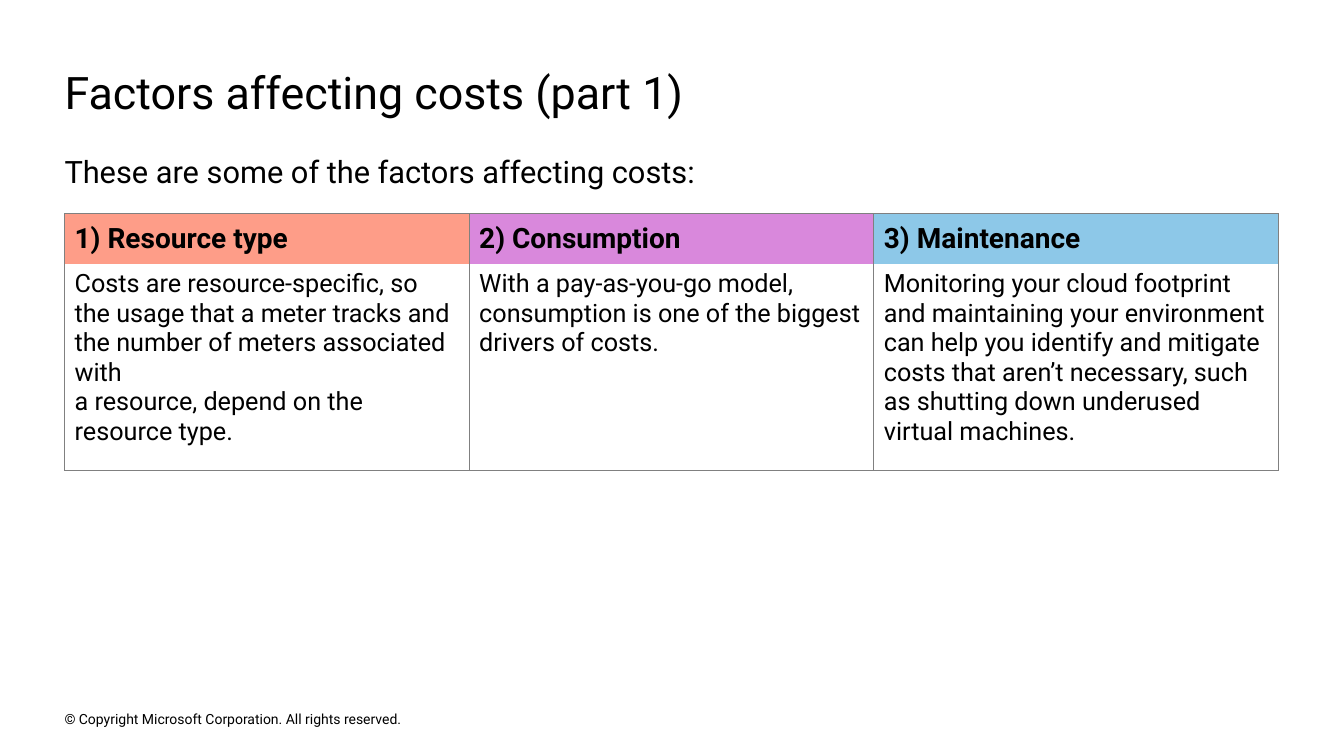
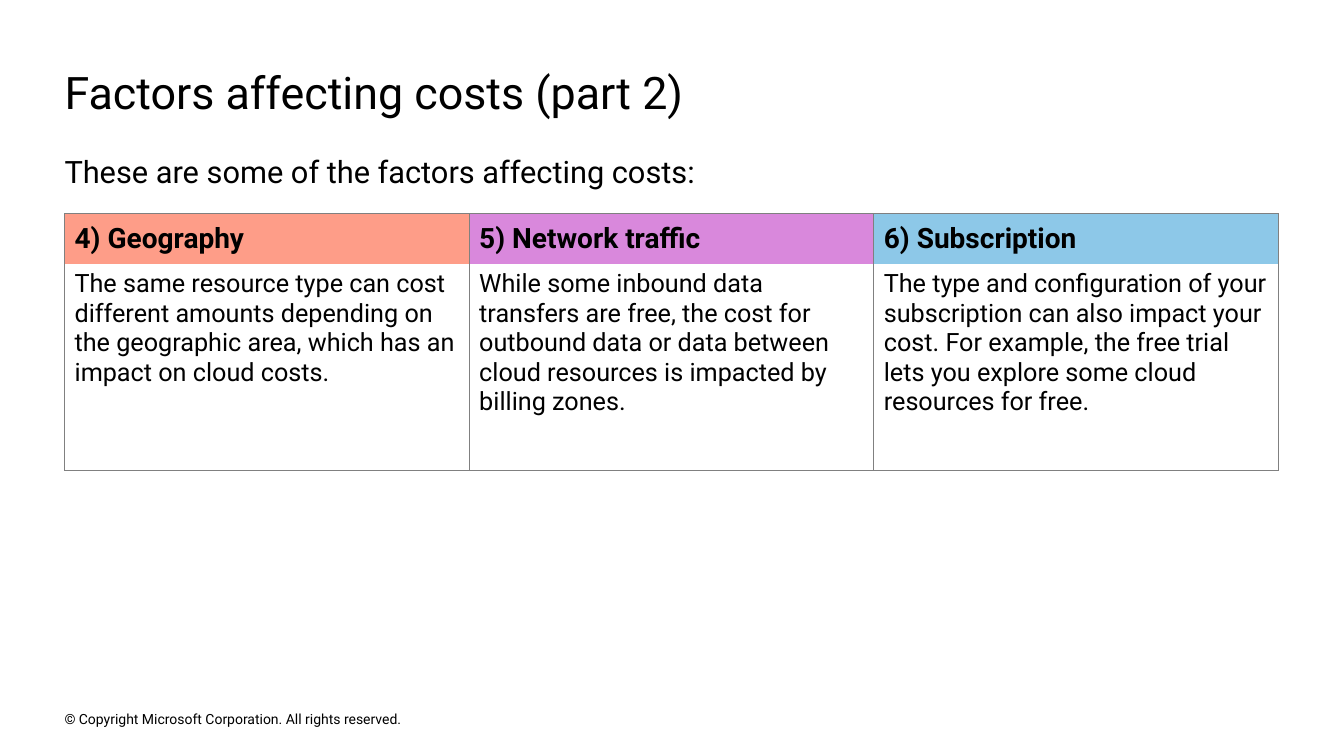
"""Build two slides on the factors that affect costs."""
from lxml.etree import SubElement as Sub
from pptx import Presentation
from pptx.dml.color import RGBColor as RGB
from pptx.enum.text import MSO_ANCHOR as Anchor
from pptx.oxml.ns import qn
from pptx.util import Inches, Pt

LEAD = "These are some of the factors affecting costs:"
FOOT = "© Copyright Microsoft Corporation. All rights reserved."
PAGES = [
    ("Factors affecting costs (part 1)", [
        ("1) Resource type",
         "Costs are resource-specific, so the usage that a meter tracks and "
         "the number of meters associated with\v"
         "a resource, depend on the\vresource type."),
        ("2) Consumption",
         "With a pay-as-you-go model, consumption is one of the biggest "
         "drivers of costs."),
        ("3) Maintenance",
         "Monitoring your cloud footprint and maintaining your environment "
         "can help you identify and mitigate costs that aren’t necessary, "
         "such as shutting down underused virtual machines."),
    ]),
    ("Factors affecting costs (part 2)", [
        ("4) Geography",
         "The same resource type can cost different amounts depending on "
         "the geographic area, which has an impact on cloud costs."),
        ("5) Network traffic",
         "While some inbound data transfers are free, the cost for outbound "
         "data or data between cloud resources is impacted by billing zones."),
        ("6) Subscription",
         "The type and configuration of your subscription can also impact "
         "your cost. For example, the free trial lets you explore some cloud "
         "resources for free."),
    ]),
]

FONT = "Roboto"
BLACK, WHITE = RGB(0, 0, 0), RGB(255, 255, 255)
GREY = RGB(0x80, 0x80, 0x80)
HEADS = [RGB(0xFE, 0x9D, 0x88), RGB(0xD9, 0x88, 0xDC), RGB(0x8D, 0xC8, 0xE8)]
LEFT, WIDTH = 0.64, 12.04
ROWS = (0.5, 2.05)


def write(frame, text, size, bold=False, color=BLACK):
    """Put text in a frame with one format."""
    frame.word_wrap = True
    frame.text = text
    for para in frame.paragraphs:
        font = para.font
        font.name, font.size, font.bold = FONT, Pt(size), bold
        font.color.rgb = color


def label(slide, text, top, high, size, wide=WIDTH, anchor=Anchor.TOP):
    """Add a text box without margins at the left edge."""
    box = slide.shapes.add_textbox(*map(Inches, (LEFT, top, wide, high)))
    frame = box.text_frame
    frame.margin_left = frame.margin_right = 0
    frame.margin_top = frame.margin_bottom = 0
    frame.vertical_anchor = anchor
    write(frame, text, size)


def edge(cell, sides):
    """Draw the named sides of a cell and clear the others."""
    props = cell._tc.get_or_add_tcPr()
    for side in "LRTB":
        line = Sub(props, qn(f"a:ln{side}"), w=str(Pt(0.5)))
        if side in sides:
            fill = Sub(line, qn("a:solidFill"))
            Sub(fill, qn("a:srgbClr"), val=str(GREY))
        else:
            Sub(line, qn("a:noFill"))


def paint(cell, text, sides, back, anchor, **form):
    """Fill one cell with text, borders and a back colour."""
    edge(cell, sides)
    cell.fill.solid()
    cell.fill.fore_color.rgb = back
    cell.vertical_anchor = anchor
    write(cell.text_frame, text, **form)


def grid(slide, items):
    """Add the table with one column for each factor."""
    size = map(Inches, (LEFT, 2.12, WIDTH, sum(ROWS)))
    table = slide.shapes.add_table(len(ROWS), len(items), *size).table
    table.first_row = table.horz_banding = False
    for row, high in zip(table.rows, ROWS):
        row.height = Inches(high)
    for col, ((head, body), hue) in enumerate(zip(items, HEADS)):
        table.columns[col].width = Inches(WIDTH / len(items))
        paint(table.cell(0, col), head, "LRT", hue, Anchor.MIDDLE,
              size=20, bold=True)
        paint(table.cell(1, col), body, "LRB", WHITE, Anchor.TOP, size=18)


def main():
    """Build and save the deck."""
    deck = Presentation()
    deck.slide_width, deck.slide_height = Inches(13.33), Inches(7.5)
    for title, items in PAGES:
        slide = deck.slides.add_slide(deck.slide_layouts[6])
        label(slide, title, 0.64, 0.54, 32)
        label(slide, LEAD, 1.52, 0.37, 22)
        grid(slide, items)
        label(slide, FOOT, 7.02, 0.22, 10, wide=4.54, anchor=Anchor.MIDDLE)
    deck.save("out.pptx")


if __name__ == "__main__":
    main()
